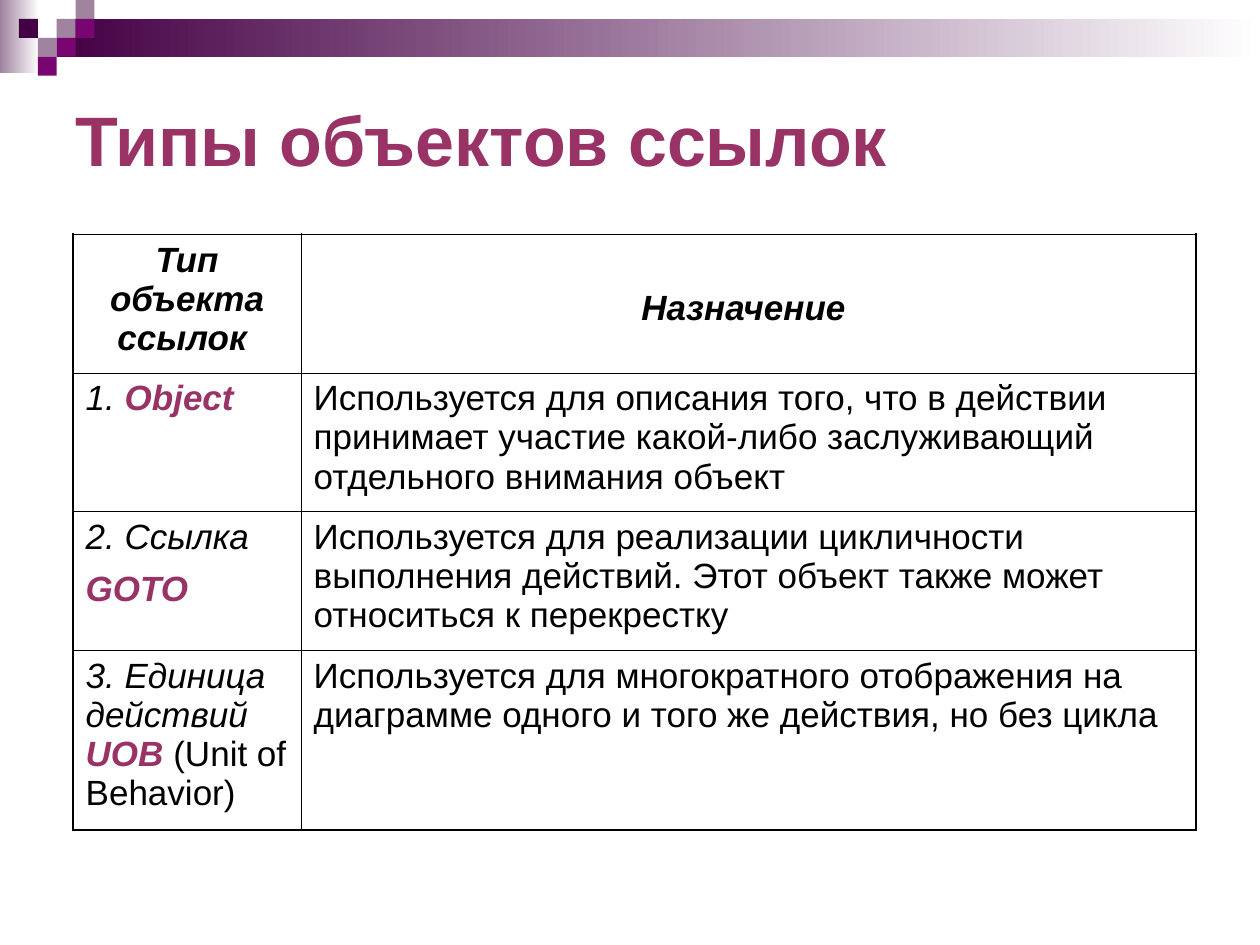
import pptx
import pptx.util
import pptx.dml.color
import pptx.enum.shapes
import pptx.enum.text
import pptx.oxml
import pptx.oxml.ns

Inches = pptx.util.Inches
Pt = pptx.util.Pt

COLORS = {
    "black": "000000",
    "white": "FFFFFF",
    "accent": "993366",
    "dark": "440044",
    "plum": "790571",
    "mauve": "9F839F",
}
FONT = "Arial"
TITLE = "Типы объектов ссылок"

STYLES = {
    "head": {"bold": True, "italic": True},
    "label": {"italic": True},
    "name": {"bold": True, "italic": True, "color": "accent"},
    "spacer": {"bold": True, "size": 28},
    "plain": {},
}
ROWS = [
    ([("Тип объекта ссылок ", "head")], [("Назначение ", "head")]),
    (
        [("1. ", "label"), ("Object", "name")],
        [("Используется для описания того, что в действии принимает участие "
          "какой-либо заслуживающий отдельного внимания объект", "plain")],
    ),
    (
        [("2. Ссылка ", "label"), ("GOTO", "name"), (" ", "spacer")],
        [("Используется для реализации цикличности выполнения действий. "
          "Этот объект также может относиться к перекрестку", "plain")],
    ),
    (
        [("3. Единица действий ", "label"), ("UOB ", "name"),
         ("(Unit of Behavior)", "plain")],
        [("Используется для многократного отображения на диаграмме "
          "одного и того же действия, но без цикла", "plain")],
    ),
]
COLUMN_WIDTHS = [1.81, 7.1]
ROW_HEIGHTS = [1.1, 1.1, 1.1, 1.43]
TABLE_LEFT, TABLE_TOP = 0.58, 1.86
OUTER, INNER = 1.08, 0.45

BANDS = [((0, 0, 0.31, 0.58), "mauve"), ((0.45, 0.15, 9.55, 0.3), "dark")]
SQUARE = 0.15
SQUARES = [
    (3, 1, "mauve"), (4, 0, "mauve"), (4, 1, "plum"), (2, 2, "mauve"),
    (1, 1, "dark"), (3, 2, "plum"), (2, 3, "plum"),
]


def rgb(name):
    return pptx.dml.color.RGBColor.from_string(COLORS[name])


def add_rectangle(group, left, top, width, height):
    shape = group.shapes.add_shape(
        pptx.enum.shapes.MSO_SHAPE.RECTANGLE,
        Inches(left), Inches(top), Inches(width), Inches(height))
    shape.shadow.inherit = False
    shape.line.fill.background()
    return shape


def add_decoration(page):
    group = page.shapes.add_group_shape()
    for position, color in BANDS:
        band = add_rectangle(group, *position)
        band.fill.gradient()
        band.fill.gradient_angle = 0
        for stop, name in zip(band.fill.gradient_stops, (color, "white")):
            stop.color.rgb = rgb(name)
    for column, row, color in SQUARES:
        square = add_rectangle(group, column * SQUARE, row * SQUARE, SQUARE, SQUARE)
        square.fill.solid()
        square.fill.fore_color.rgb = rgb(color)


def add_span(para, text, size, bold=False, italic=False, color="black"):
    span = para.add_run()
    span.text = text
    span.font.name = FONT
    span.font.size = Pt(size)
    span.font.bold = bold
    span.font.italic = italic
    span.font.color.rgb = rgb(color)


def set_borders(cell, widths):
    properties = cell._tc.get_or_add_tcPr()
    for index, (side, width) in enumerate(widths.items()):
        properties.insert(index, pptx.oxml.parse_xml(
            f'<a:{side} {pptx.oxml.ns.nsdecls("a")} w="{int(Pt(width))}">'
            f'<a:solidFill><a:srgbClr val="{COLORS["black"]}"/></a:solidFill>'
            f'</a:{side}>'))


def add_title(page):
    box = page.shapes.title
    box.left, box.top, box.width, box.height = (
        Inches(0.5), Inches(0.5), Inches(9), Inches(1.2))
    box.text_frame.vertical_anchor = pptx.enum.text.MSO_ANCHOR.MIDDLE
    para = box.text_frame.paragraphs[0]
    para.alignment = pptx.enum.text.PP_ALIGN.LEFT
    add_span(para, TITLE, 40, bold=True, color="accent")


def add_reference_table(page):
    table = page.shapes.add_table(
        len(ROWS), len(COLUMN_WIDTHS), Inches(TABLE_LEFT), Inches(TABLE_TOP),
        Inches(sum(COLUMN_WIDTHS)), Inches(sum(ROW_HEIGHTS))).table
    table.horz_banding = False
    for column, width in zip(table.columns, COLUMN_WIDTHS):
        column.width = Inches(width)
    last_row, last_column = len(ROWS) - 1, len(COLUMN_WIDTHS) - 1
    for r, contents in enumerate(ROWS):
        table.rows[r].height = Inches(ROW_HEIGHTS[r])
        for c, spans in enumerate(contents):
            cell = table.cell(r, c)
            cell.fill.background()
            set_borders(cell, {
                "lnL": OUTER if c == 0 else INNER,
                "lnR": OUTER if c == last_column else INNER,
                "lnT": OUTER if r == 0 else INNER,
                "lnB": OUTER if r == last_row else INNER,
            })
            para = cell.text_frame.paragraphs[0]
            if r == 0:
                para.alignment = pptx.enum.text.PP_ALIGN.CENTER
            for text, style in spans:
                add_span(para, text, **{"size": 20, **STYLES[style]})
    purpose = table.cell(0, 1)
    purpose.vertical_anchor = pptx.enum.text.MSO_ANCHOR.MIDDLE
    purpose.margin_top = Inches(0.12)


def main():
    deck = pptx.Presentation()
    deck.slide_width, deck.slide_height = Inches(10), Inches(7.5)
    page = deck.slides.add_slide(deck.slide_layouts[5])
    add_decoration(page)
    add_title(page)
    add_reference_table(page)
    deck.save("out.pptx")


if __name__ == "__main__":
    main()
